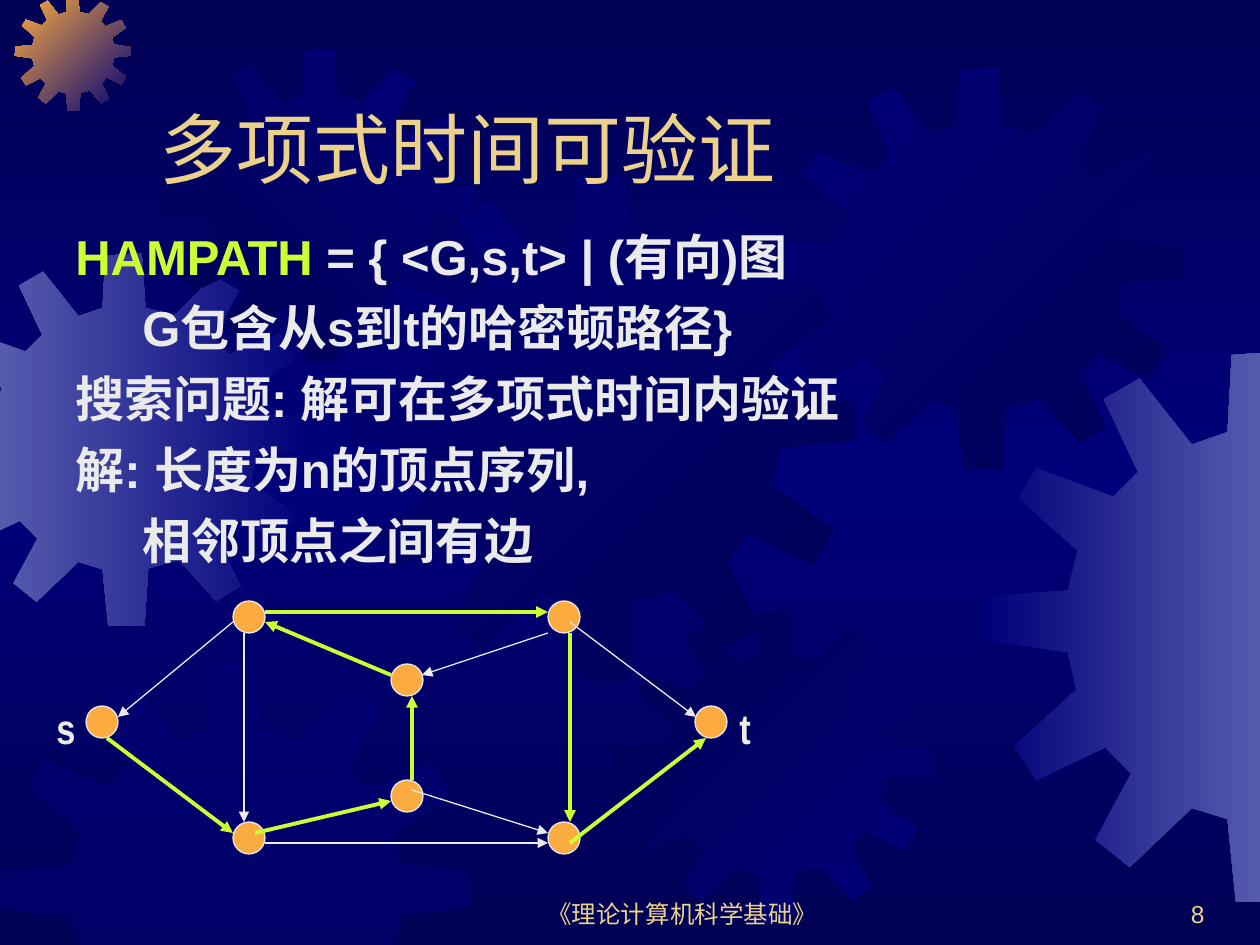
from copy import deepcopy

from lxml import etree
from pptx import Presentation, util as u
from pptx.dml.color import RGBColor
from pptx.enum import shapes, text
from pptx.oxml.ns import qn

SCALE = 914400 / 126  # EMU per px
WIDTH, HEIGHT = 1260, 945
GOLD, LIME, WHITE, ORANGE = "EBD189", "CCFF33", "EAEAEA", "FCAB40"
NAVY, BLUE, LAVENDER = "000054", "00007A", "555BAD"

TITLE = "多项式时间可验证"
INDENT = 67
# (indent, runs of (text, colour))
BODY = [
    (0, [("HAMPATH ", LIME), ("= { <G,s,t> | (有向)图", WHITE)]),
    (INDENT, [("G包含从s到t的哈密顿路径}", WHITE)]),
    (0, [("搜索问题: 解可在多项式时间内验证", WHITE)]),
    (0, [("解: 长度为n的顶点序列,", WHITE)]),
    (INDENT, [("相邻顶点之间有边", WHITE)]),
]
FOOTERS = [
    ("《理论计算机科学基础》", (483, 872, 399, 63), text.PP_ALIGN.CENTER),
    ("8", (955, 872, 262, 63), text.PP_ALIGN.RIGHT),
]

# One gear outline, on a square of GEAR_UNITS
GEAR_UNITS = 401
GEAR = [
    (255, 67), (223, 59), (219, 0), (180, 3), (177, 59), (151, 68), (113, 20), (87, 35),
    (112, 88), (94, 106), (38, 85), (25, 107), (68, 145), (61, 174), (1, 178), (0, 210),
    (61, 219), (67, 246), (22, 287), (38, 312), (88, 288), (107, 307), (81, 355), (106, 375),
    (151, 332), (177, 340), (183, 400), (222, 401), (226, 339), (259, 330), (299, 374), (325, 358),
    (299, 306), (316, 284), (368, 309), (384, 281), (336, 246), (342, 216), (401, 210), (400, 180),
    (341, 171), (335, 148), (383, 114), (367, 87), (313, 109), (296, 91), (323, 41), (297, 25),
]
# (left, top, size, colours, clockwise angle); a single colour is half transparent
GEARS = [
    (-62, 253, 373, [LAVENDER, BLUE], 0),
    (15, -5, 116, [ORANGE, BLUE], 45),
    (164, 49, 312, [NAVY, BLUE], 315),
    (349, 175, 506, [BLUE, NAVY], 45),
    (0, 661, 471, [BLUE], 0),
    (619, 610, 312, [NAVY, BLUE], 45),
    (779, 67, 403, [BLUE, NAVY], 45),
    (984, 351, 552, [BLUE, LAVENDER], 0),
]

NODE_SIZE = 32
NODES = [(86, 706), (233, 601), (233, 822), (391, 664),
         (391, 780), (548, 601), (548, 822), (695, 706)]
EDGES = [
    (233, 622, 118, 717), (244, 633, 244, 822), (570, 622, 696, 717),
    (265, 843, 548, 843), (412, 790, 548, 833), (548, 633, 422, 675),
]
PATH_EDGES = [
    (255, 833, 391, 801), (107, 738, 233, 833), (412, 780, 412, 696),
    (391, 675, 265, 622), (265, 612, 548, 612), (570, 633, 570, 822),
    (570, 843, 706, 738),
]
LABELS = [("s", (44, 696, 63, 63)), ("t", (727, 696, 63, 63))]


def px(value):
    return u.Emu(round(value * SCALE))


def box(lengths):
    return [px(length) for length in lengths]


def rgb(colour):
    return RGBColor.from_string(colour)


def add_run(paragraph, words, size, colour, font="Arial", bold=False):
    run = paragraph.add_run()
    run.text = words
    run.font.size, run.font.name, run.font.bold = u.Pt(size), font, bold
    run.font.color.rgb = rgb(colour)


def add_text_box(parent, place, anchor=text.MSO_ANCHOR.TOP):
    frame = parent.add_textbox(*box(place)).text_frame
    frame.word_wrap = True
    frame.vertical_anchor = anchor
    return frame


def set_gradient(fill, element, colours, angle):
    fill.gradient()
    stop_list = element.xpath(".//a:gsLst")[0]
    for _ in colours[2:]:
        stop_list.append(deepcopy(stop_list[-1]))
    for i, (stop, colour) in enumerate(zip(fill.gradient_stops, colours)):
        stop.color.rgb = rgb(colour)
        stop.position = i / (len(colours) - 1)
    fill.gradient_angle = (360 - angle) % 360


def clip(points, axis, limit, sign):
    """Keep the part of a polygon where sign * (coordinate - limit) <= 0."""
    kept = []
    for start, end in zip(points[-1:] + points[:-1], points):
        a, b = (sign * (point[axis] - limit) for point in (start, end))
        if (a <= 0) != (b <= 0):
            share = a / (a - b)
            kept.append(tuple(p + share * (q - p) for p, q in zip(start, end)))
        if b <= 0:
            kept.append(end)
    return kept


def add_gear(slide, left, top, size, colours, angle):
    points = [(left + x * size / GEAR_UNITS, top + y * size / GEAR_UNITS) for x, y in GEAR]
    for axis, limit, sign in [(0, 0, -1), (1, 0, -1), (0, WIDTH, 1), (1, HEIGHT, 1)]:
        points = clip(points, axis, limit, sign)
    outline = [(px(x), px(y)) for x, y in points]
    builder = slide.shapes.build_freeform(*outline[0], scale=1.0)
    builder.add_line_segments(outline[1:], close=True)
    shape = builder.convert_to_shape()
    shape.shadow.inherit = False
    shape.line.fill.background()
    if len(colours) > 1:
        set_gradient(shape.fill, shape.element, colours, angle)
    else:
        shape.fill.solid()
        shape.fill.fore_color.rgb = rgb(colours[0])
        colour = shape.element.spPr.find(qn("a:solidFill"))[0]
        etree.SubElement(colour, qn("a:alpha"), val="50000")


def add_node(parent, left, top):
    shape = parent.add_shape(shapes.MSO_SHAPE.OVAL, *box((left, top, NODE_SIZE, NODE_SIZE)))
    shape.shadow.inherit = False
    shape.fill.solid()
    shape.fill.fore_color.rgb = rgb(ORANGE)
    shape.line.color.rgb = rgb(WHITE)
    shape.line.width = u.Pt(0.75)


def add_arrow(parent, ends, colour, width):
    arrow = parent.add_connector(shapes.MSO_CONNECTOR.STRAIGHT, *box(ends))
    arrow.line.color.rgb = rgb(colour)
    arrow.line.width = u.Pt(width)
    properties = arrow.element.spPr
    etree.SubElement(properties.find(qn("a:ln")), qn("a:tailEnd"), type="triangle")
    etree.SubElement(properties, qn("a:effectLst"))


def main():
    presentation = Presentation()
    presentation.slide_width, presentation.slide_height = px(WIDTH), px(HEIGHT)
    slide = presentation.slides.add_slide(presentation.slide_layouts[5])

    # Background and gears
    set_gradient(slide.background.fill, slide.element, [NAVY, BLUE, NAVY], 90)
    for gear in GEARS:
        add_gear(slide, *gear)

    # Footer and slide number
    for words, place, alignment in FOOTERS:
        paragraph = add_text_box(slide.shapes, place, text.MSO_ANCHOR.BOTTOM).paragraphs[0]
        paragraph.alignment = alignment
        add_run(paragraph, words, 14, GOLD)

    # Title, brought in front of the gears
    title = slide.shapes.title
    title.element.getparent().append(title.element)
    title.left, title.top, title.width, title.height = box((147, 42, 1071, 158))
    title.text_frame.auto_size = text.MSO_AUTO_SIZE.NONE
    title.text_frame.vertical_anchor = text.MSO_ANCHOR.BOTTOM
    paragraph = title.text_frame.paragraphs[0]
    paragraph.alignment = text.PP_ALIGN.LEFT
    add_run(paragraph, TITLE, 44, GOLD)

    # Body
    frame = add_text_box(slide.shapes, (63, 220, 1134, 404))
    for i, (indent, runs) in enumerate(BODY):
        paragraph = frame.add_paragraph() if i else frame.paragraphs[0]
        if i:
            paragraph.space_before = u.Pt(7)
        paragraph._p.get_or_add_pPr().set("marL", str(px(indent)))
        for words, colour in runs:
            add_run(paragraph, words, 28, colour, bold=True)

    # Graph with its Hamiltonian path
    graph = slide.shapes.add_group_shape().shapes
    for node in NODES:
        add_node(graph, *node)
    for ends in EDGES:
        add_arrow(graph, ends, WHITE, 0.75)
    for ends in PATH_EDGES:
        add_arrow(graph, ends, LIME, 2.25)
    for words, place in LABELS:
        paragraph = add_text_box(graph, place).paragraphs[0]
        add_run(paragraph, words, 24, WHITE, "Arial Narrow", True)

    presentation.save("out.pptx")


if __name__ == "__main__":
    main()
